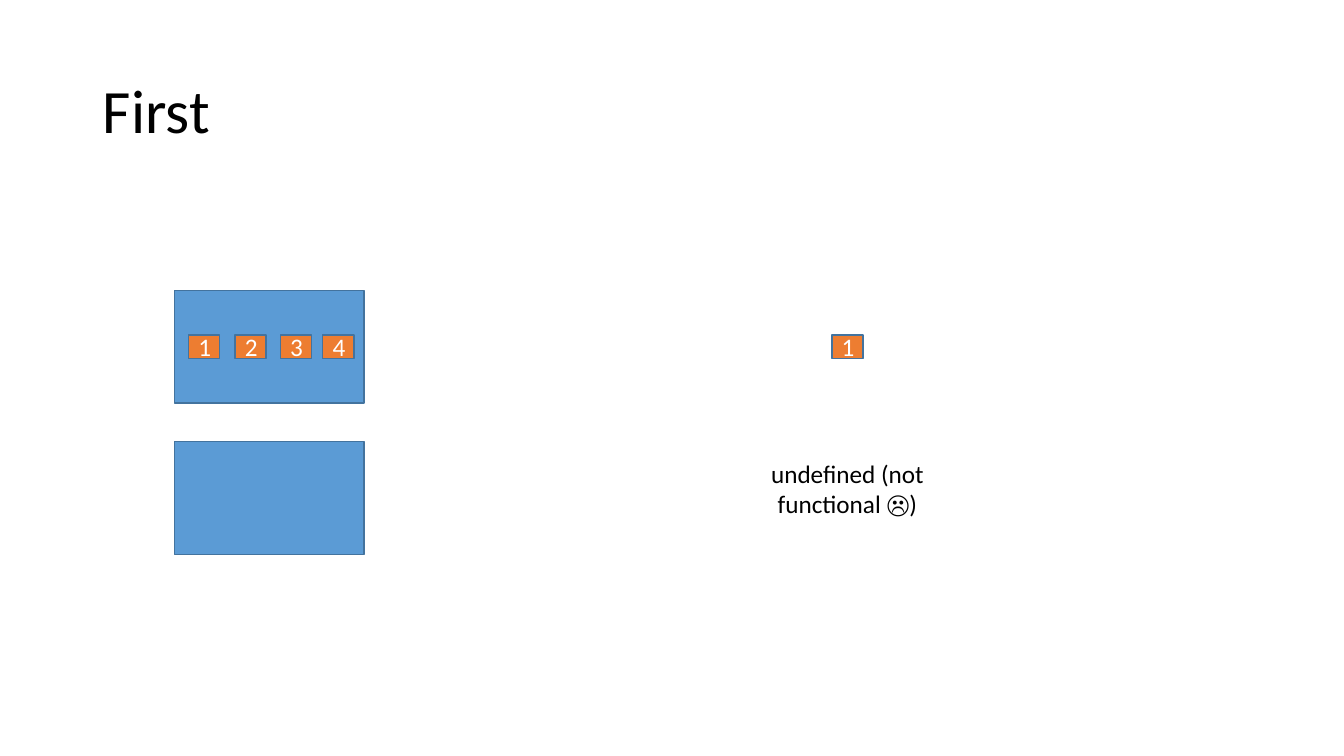
"""Build the slide that shows what First returns for a full and an empty list."""
from pptx import Presentation
from pptx.dml.color import RGBColor
from pptx.enum.shapes import MSO_SHAPE
from pptx.enum.text import MSO_ANCHOR, PP_ALIGN
from pptx.util import Inches, Pt

RECT = MSO_SHAPE.RECTANGLE
MID = MSO_ANCHOR.MIDDLE
LEFT, CENTER = PP_ALIGN.LEFT, PP_ALIGN.CENTER

TITLE = "First"
ITEMS = [("1", 1.87), ("2", 2.33), ("3", 2.78), ("4", 3.2)]
RESULT = ("1", 8.25)
EMPTY = "undefined (not functional ☹)"

FONT = "Calibri"
COLORS = {"list": "5B9BD5", "item": "ED7D31", "edge": "43739E",
          "white": "FFFFFF", "black": "000000"}
WIDTH, HEIGHT = 13.33, 7.5
LIST_X, LIST_W, LIST_H = 1.73, 1.88, 1.12
ROWS = [2.88 + 1.5 * row for row in range(2)]
ITEM_W, ITEM_H = 0.31, 0.23
ITEM_Y = ROWS[0] + (LIST_H - ITEM_H) / 2
NOTE = (7.35, 4.32, 2.11, 1.05)


def color(name):
    return RGBColor.from_string(COLORS[name])


def write(shape, text, size, ink, align):
    frame = shape.text_frame
    frame.text = text
    frame.word_wrap = True
    frame.vertical_anchor = MID
    para = frame.paragraphs[0]
    para.alignment = align
    font = para.runs[0].font
    font.name, font.size = FONT, Pt(size)
    font.color.rgb = color(ink)


def box(slide, place, fill, edge="edge", text="", ink="white"):
    shape = slide.shapes.add_shape(RECT, *map(Inches, place))
    shape.shadow.inherit = False
    shape.fill.solid()
    shape.fill.fore_color.rgb = color(fill)
    if edge:
        shape.line.color.rgb = color(edge)
        shape.line.width = Pt(1)
    else:
        shape.line.fill.background()
    if text:
        write(shape, text, 18, ink, CENTER)


def main():
    deck = Presentation()
    deck.slide_width, deck.slide_height = Inches(WIDTH), Inches(HEIGHT)
    slide = deck.slides.add_slide(deck.slide_layouts[5])

    title = slide.shapes.title
    title.left, title.top = Inches(0.92), Inches(0.4)
    title.width, title.height = Inches(11.5), Inches(1.45)
    write(title, TITLE, 44, "black", LEFT)
    title.text_frame.paragraphs[0].line_spacing = 0.9

    for top in ROWS:
        box(slide, (LIST_X, top, LIST_W, LIST_H), "list")
    for text, left in ITEMS + [RESULT]:
        box(slide, (left, ITEM_Y, ITEM_W, ITEM_H), "item", text=text)
    box(slide, NOTE, "white", None, EMPTY, "black")

    deck.save("out.pptx")


if __name__ == "__main__":
    main()
